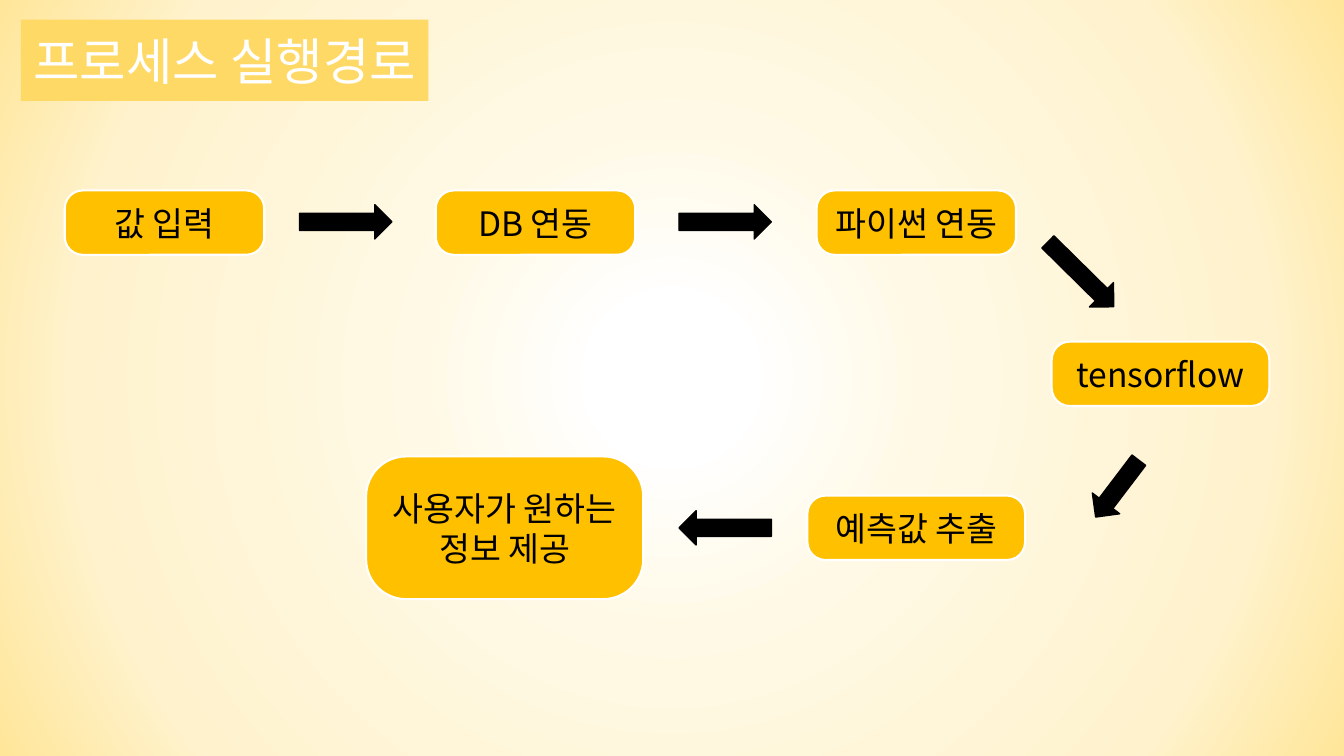
from pptx import Presentation
from pptx.dml.color import RGBColor
from pptx.enum.shapes import MSO_SHAPE
from pptx.enum.text import MSO_ANCHOR, PP_ALIGN
from pptx.oxml import parse_xml
from pptx.oxml.ns import nsdecls, qn
from pptx.util import Pt

ROUND, ARROW = MSO_SHAPE.ROUNDED_RECTANGLE, MSO_SHAPE.RIGHT_ARROW
MIDDLE, CENTER = MSO_ANCHOR.MIDDLE, PP_ALIGN.CENTER
FACE = "Noto Sans CJK KR"
BLACK, WHITE, GOLD, PALE = "000000", "FFFFFF", "FFC000", "FFD966"

# Content: lengths in points
TITLE = "프로세스 실행경로"
GLOW = [(10, "FFFFFF"), (33, "FFF9E6"), (56, "FFF6D9"),
        (78, "FFF2CC"), (100, "FFE699")]
STEPS = [  # text, centre x, centre y, width, height
    ("값 입력", 117.5, 159, 142.5, 46),
    ("DB 연동", 382.5, 159, 142.5, 46),
    ("파이썬 연동", 654.5, 159, 142.5, 46),
    ("tensorflow", 829, 267, 155.5, 46),
    ("예측값 추출", 654.5, 377, 155.5, 46),
    ("사용자가 원하는 정보 제공", 360.5, 377, 198, 102),
]
ARROWS = [  # centre x, centre y, length, rotation
    (247, 158.5, 66, 0),
    (518, 158.5, 66, 0),
    (772, 196, 66, 44.6),
    (798, 349, 51, 127.2),
    (518, 377, 66, 180),
]
THICK = 24.5


def color(code):
    return RGBColor.from_string(code)


def write(shape, text, size, shade):
    frame = shape.text_frame
    frame.word_wrap = True
    frame.vertical_anchor = MIDDLE
    line = frame.paragraphs[0]
    line.text = text
    line.alignment = CENTER
    font = line.font
    font.name, font.size = FACE, Pt(size)
    font.color.rgb = color(shade)
    # East Asian face for the Korean letters
    east = parse_xml(f'<a:ea {nsdecls("a")} typeface="{FACE}"/>')
    line._p.pPr.find(qn("a:defRPr")).append(east)


def draw(kind, mid_x, mid_y, wide, high, fill, edge, weight):
    shape = slide.shapes.add_shape(kind, Pt(mid_x - wide / 2),
                                   Pt(mid_y - high / 2), Pt(wide), Pt(high))
    shape.shadow.inherit = False
    shape.fill.solid()
    shape.fill.fore_color.rgb = color(fill)
    shape.line.color.rgb = color(edge)
    shape.line.width = Pt(weight)
    return shape


deck = Presentation()
deck.slide_width, deck.slide_height = Pt(960), Pt(540)
slide = deck.slides.add_slide(deck.slide_layouts[5])

# Background: radial glow from the centre
slide.background.fill.gradient()
grad = slide.element.find(".//" + qn("a:gradFill"))
stops = "".join(f'<a:gs pos="{pos * 1000}"><a:srgbClr val="{code}"/></a:gs>'
                for pos, code in GLOW)
grad.getparent().replace(grad, parse_xml(
    f'<a:gradFill {nsdecls("a")} rotWithShape="1"><a:gsLst>{stops}</a:gsLst>'
    '<a:path path="circle"><a:fillToRect l="50000" t="50000" r="50000" '
    'b="50000"/></a:path></a:gradFill>'))

# Title
title = slide.shapes.title
title.left, title.top, title.width, title.height = map(Pt, (15, 14, 291, 58))
title.fill.solid()
title.fill.fore_color.rgb = color(PALE)
write(title, TITLE, 36, WHITE)

# Steps
for text, *place in STEPS:
    step = draw(ROUND, *place, GOLD, WHITE, 1.5)
    step.adjustments[0] = 0.28
    write(step, text, 24, BLACK)

# Arrows
for mid_x, mid_y, long, turn in ARROWS:
    arrow = draw(ARROW, mid_x, mid_y, long, THICK, BLACK, BLACK, 1)
    arrow.rotation = turn

deck.save("out.pptx")
